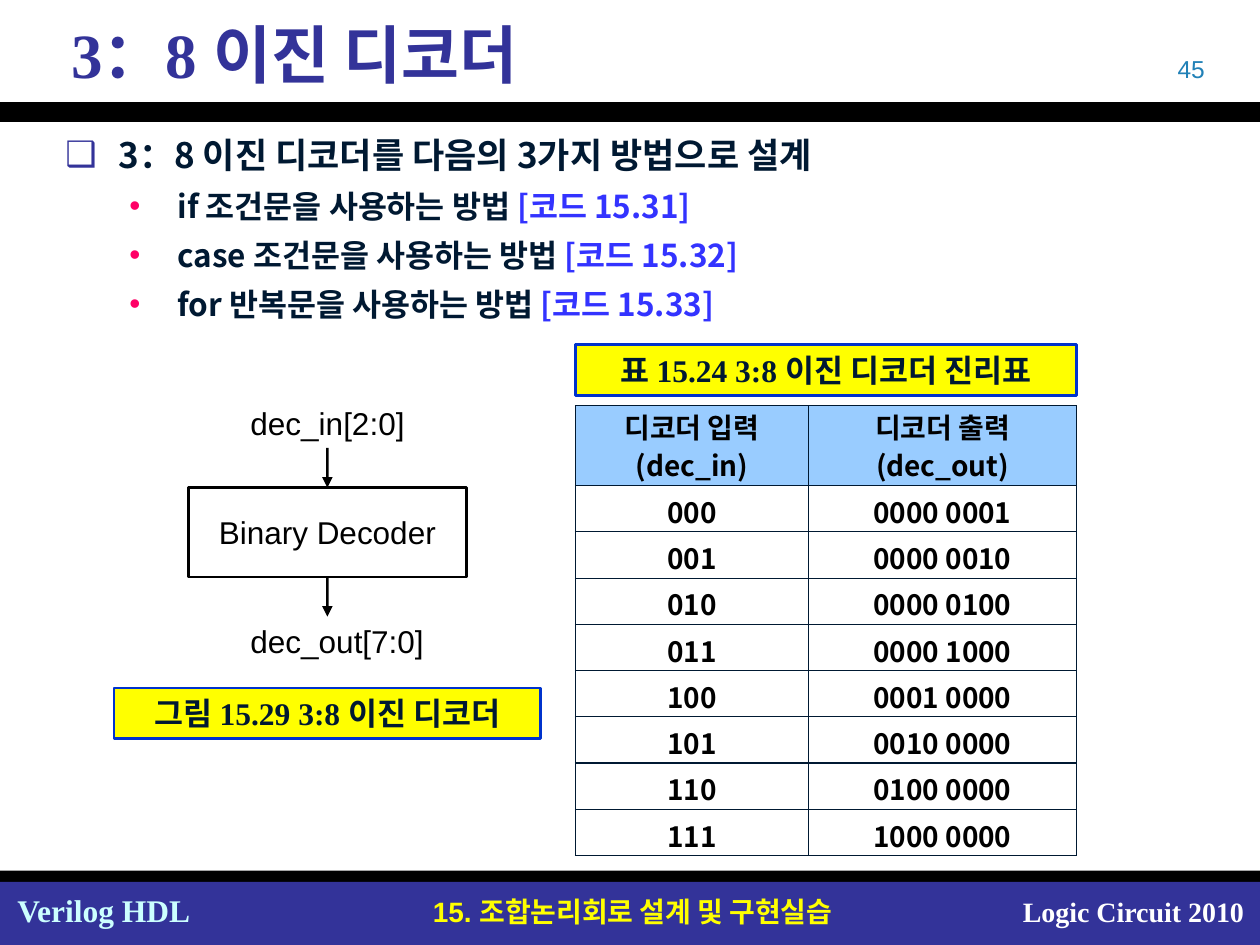
from lxml.etree import SubElement
from pptx import Presentation
from pptx.dml.color import RGBColor
from pptx.enum.shapes import MSO_CONNECTOR, MSO_SHAPE
from pptx.enum.text import MSO_ANCHOR, PP_ALIGN
from pptx.oxml.ns import qn
from pptx.util import Cm, Pt

COLORS = {
    "black": "000000", "white": "FFFFFF", "navy": "333399", "ink": "001932",
    "yellow": "FFFF00", "mint": "CCFFFF", "teal": "2181B7", "code": "3333FF",
    "pink": "FF0066", "frame": "0033CC", "header": "99CCFF",
}
SANS, SERIF, KOREAN = "Arial", "Times New Roman", "Noto Sans CJK KR"
TOPICS = [
    ("if 조건문을 사용하는 방법 ", "[코드 15.31]"),
    ("case 조건문을 사용하는 방법 ", "[코드 15.32]"),
    ("for 반복문을 사용하는 방법 ", "[코드 15.33]"),
]


def color(name):
    """Return the named colour."""
    return RGBColor.from_string(COLORS[name])


def style(para, size, face, ink=None, bold=False, align=PP_ALIGN.LEFT):
    """Set the alignment and the font of a whole paragraph."""
    para.alignment = align
    font = para.font
    font.size, font.name, font.bold = Pt(size), face, bold
    if ink:
        font.color.rgb = color(ink)
    east_asian = SubElement(para._p.pPr.find(qn("a:defRPr")), qn("a:ea"))
    east_asian.set("typeface", KOREAN)


def indent(para, left, hanging=0, bullet=None, bullet_ink=None):
    """Indent a paragraph and give it an optional coloured bullet."""
    properties = para._p.get_or_add_pPr()
    properties.set("marL", str(Cm(left)))
    properties.set("indent", str(-Cm(hanging)))
    if bullet:
        tint = SubElement(properties, qn("a:buClr"))
        SubElement(tint, qn("a:srgbClr")).set("val", COLORS[bullet_ink])
        SubElement(properties, qn("a:buFont")).set("typeface", SANS)
        SubElement(properties, qn("a:buChar")).set("char", bullet)


def add_label(shapes, box, text, size, face, ink, bold=False,
              align=PP_ALIGN.LEFT):
    """Add a one-line text box and return it."""
    label = shapes.add_textbox(*map(Cm, box))
    label.text_frame.word_wrap = True
    para = label.text_frame.paragraphs[0]
    para.text = text
    style(para, size, face, ink, bold, align)
    return label


def add_block(shapes, box, fill=None, line=None):
    """Add a flat rectangle and return it."""
    block = shapes.add_shape(MSO_SHAPE.RECTANGLE, *map(Cm, box))
    block.shadow.inherit = False
    if fill:
        block.fill.solid()
        block.fill.fore_color.rgb = color(fill)
    else:
        block.fill.background()
    if line:
        block.line.color.rgb = color(line)
        block.line.width = Pt(1.5)
    else:
        block.line.fill.background()
    return block


def add_box_text(block, text, face, ink, bold=False):
    """Write centred text in a rectangle."""
    frame = block.text_frame
    frame.vertical_anchor = MSO_ANCHOR.MIDDLE
    para = frame.paragraphs[0]
    para.text = text
    style(para, 18, face, ink, bold, PP_ALIGN.CENTER)


def add_caption(page, box, text):
    """Add a yellow framed caption."""
    add_box_text(add_block(page.shapes, box, "yellow", "frame"),
                 text, SERIF, "ink", True)


def add_arrow(shapes, x, top, bottom):
    """Add a downward arrow and return it."""
    arrow = shapes.add_connector(MSO_CONNECTOR.STRAIGHT,
                                 Cm(x), Cm(top), Cm(x), Cm(bottom))
    arrow.line.color.rgb = color("black")
    arrow.line.width = Pt(1.5)
    SubElement(arrow.line._get_or_add_ln(), qn("a:tailEnd")).set("type", "triangle")
    SubElement(arrow._element.spPr, qn("a:effectLst"))
    return arrow


def add_header(page, left, top, width, height):
    """Place the title, the page number and the rule under them."""
    add_block(page.shapes, (left, top + height - 0.4, width, 0.4), "black")
    add_label(page.shapes, (left + 18.62, top + 0.97, 5.92, 0.84), "45",
              14, SANS, "teal", align=PP_ALIGN.RIGHT)
    title = add_label(page.shapes, (left + 0.43, top + 0.25, 24.56, 1.65),
                      "3：8 이진 디코더", 36, SERIF, "navy", True)
    title.text_frame.vertical_anchor = MSO_ANCHOR.MIDDLE
    indent(title.text_frame.paragraphs[0], 0.76)


def add_footer(page, left, top, width, height):
    """Place the footer band with its three labels."""
    add_block(page.shapes, (left, top, width, 0.23), "black")
    add_block(page.shapes, (left, top + 0.23, width, height - 0.23), "navy")
    add_label(page.shapes, (left + 0.1, top + 0.28, 4.01, 1.02),
              "Verilog HDL", 18, SERIF, "mint", True)
    add_label(page.shapes, (left + 7.8, top + 0.36, 9.91, 0.94),
              "15. 조합논리회로 설계 및 구현실습", 16, SANS, "yellow", True,
              PP_ALIGN.CENTER)
    add_label(page.shapes, (left + 20.02, top + 0.36, 5.31, 0.94),
              "Logic Circuit 2010", 16, SERIF, "white", True, PP_ALIGN.RIGHT)


def add_topics(page, left, top, width, height):
    """Place the bulleted list of design methods."""
    box = page.shapes.add_textbox(Cm(left), Cm(top), Cm(width), Cm(height))
    frame = box.text_frame
    frame.word_wrap = True
    para = frame.paragraphs[0]
    para.text = "3：8 이진 디코더를 다음의 3가지 방법으로 설계"
    indent(para, 1.07, 1.07, "❑", "navy")
    style(para, 20, KOREAN, "ink", True)
    para.line_spacing = 1.3
    for method, code in TOPICS:
        para = frame.add_paragraph()
        para.level = 1
        indent(para, 2.26, 0.97, "•", "pink")
        style(para, 18, KOREAN, bold=True)
        para.line_spacing = 1.3
        for text, ink in ((method, "ink"), (code, "code")):
            span = para.add_run()
            span.text = text
            span.font.color.rgb = color(ink)


def add_diagram(page, left, top, width, height):
    """Place the decoder block with its input and output."""
    shapes = page.shapes.add_group_shape().shapes
    block_top, block_height = top + 1.8, 1.8
    block_bottom = block_top + block_height
    center = left + width / 2
    block = add_block(shapes, (left, block_top, width, block_height), line="black")
    add_box_text(block, "Binary Decoder", SANS, "black")
    block.text_frame.word_wrap = False
    add_arrow(shapes, center, block_top - 0.8, block_top).end_connect(block, 0)
    add_arrow(shapes, center, block_bottom, block_bottom + 0.8).begin_connect(block, 2)
    for label_top, signal in ((top, "dec_in[2:0]"),
                              (top + height - 1.02, "dec_out[7:0]")):
        add_label(shapes, (left + 1, label_top, 4.5, 1.02), signal,
                  18, SANS, "black")


def add_borders(cell):
    """Draw thin lines on all four sides of a cell."""
    properties = cell._tc.get_or_add_tcPr()
    for index, side in enumerate(("lnL", "lnR", "lnT", "lnB")):
        line = properties.makeelement(qn(f"a:{side}"), {"w": str(Pt(0.75))})
        properties.insert(index, line)
        fill = SubElement(line, qn("a:solidFill"))
        SubElement(fill, qn("a:srgbClr")).set("val", COLORS["ink"])


def add_truth_table(page, left, top, width, height):
    """Place the truth table, with one output bit set for each input."""
    rows = [("디코더 입력(dec_in)", "디코더 출력(dec_out)")]
    for value in range(8):
        bits = f"{1 << value:08b}"
        rows.append((f"{value:03b}", f"{bits[:4]} {bits[4:]}"))
    table = page.shapes.add_table(len(rows), 2, Cm(left), Cm(top),
                                  Cm(width), Cm(height)).table
    table.first_row = table.horz_banding = False
    table.columns[0].width, table.columns[1].width = Cm(4.7), Cm(width - 4.7)
    header_height = 1.61
    for number, texts in enumerate(rows):
        is_header = number == 0
        table.rows[number].height = Cm(
            header_height if is_header else (height - header_height) / 8)
        for cell, text in zip(table.rows[number].cells, texts):
            cell.vertical_anchor = MSO_ANCHOR.MIDDLE
            cell.margin_top = Cm(0 if is_header else 0.1)
            cell.margin_bottom = 0
            para = cell.text_frame.paragraphs[0]
            para.text = text
            style(para, 16, KOREAN, "black", True, PP_ALIGN.CENTER)
            if is_header:
                para.line_spacing = 0.95
                cell.fill.solid()
                cell.fill.fore_color.rgb = color("header")
            else:
                cell.fill.background()
            add_borders(cell)


def main():
    """Build the slide and save it."""
    deck = Presentation()
    deck.slide_width, deck.slide_height = Cm(25.4), Cm(19.05)
    page = deck.slides.add_slide(deck.slide_layouts[6])
    add_header(page, 0, 0, 25.4, 2.46)
    add_footer(page, 0, 17.55, 25.4, 1.5)
    add_topics(page, 1.07, 2.31, 23.5, 4.57)
    add_diagram(page, 3.8, 8.03, 5.6, 5.41)
    add_truth_table(page, 11.6, 8.18, 10.1, 9.07)
    add_caption(page, (2.3, 13.87, 8.6, 1.02), "그림 15.29 3:8 이진 디코더")
    add_caption(page, (11.6, 6.95, 10.1, 1.02), "표 15.24 3:8 이진 디코더 진리표")
    deck.save("out.pptx")


if __name__ == "__main__":
    main()
